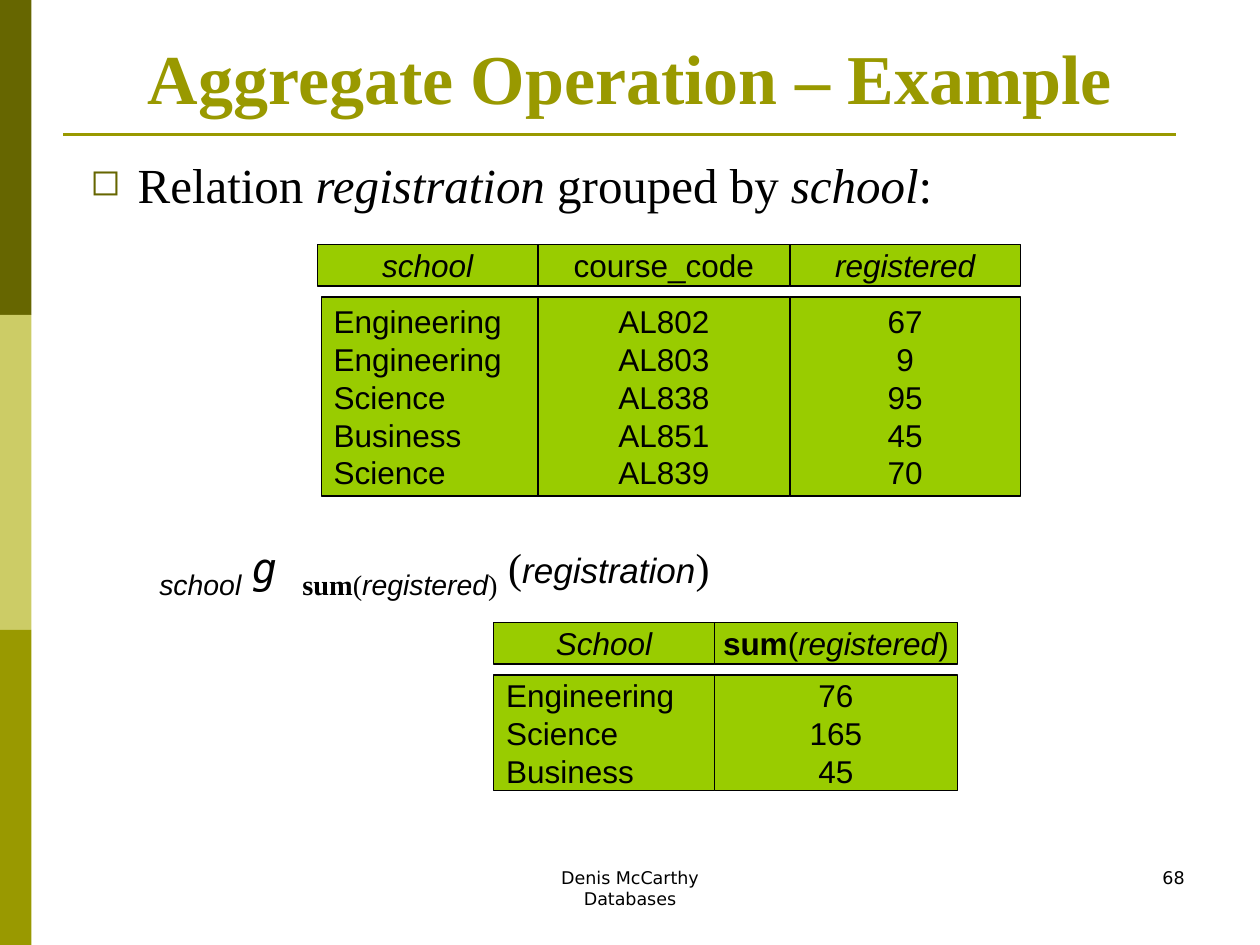
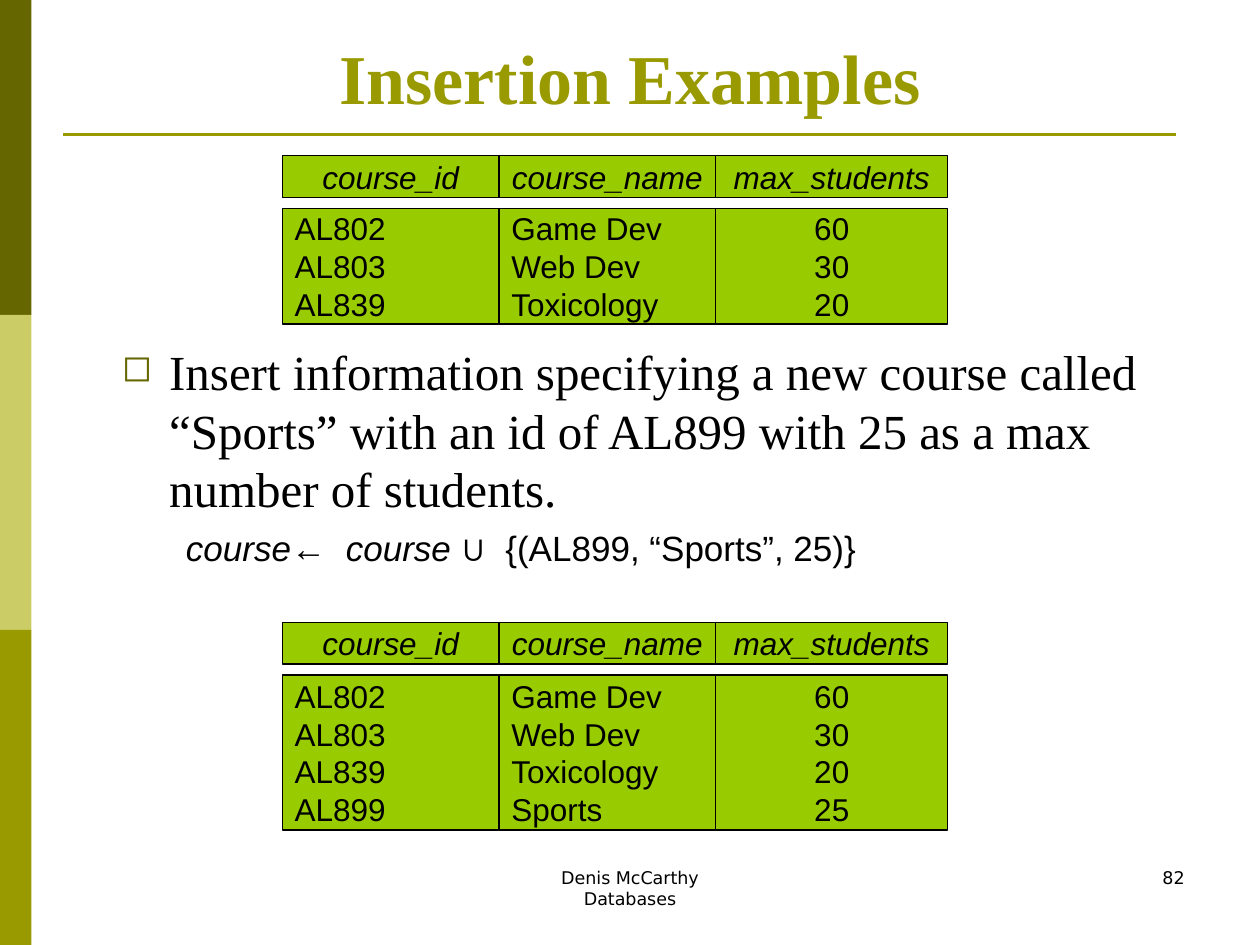
from pptx import Presentation
from pptx.dml.color import RGBColor
from pptx.enum.shapes import MSO_CONNECTOR, MSO_SHAPE
from pptx.enum.text import MSO_ANCHOR, PP_ALIGN
from pptx.oxml import parse_xml
from pptx.oxml.ns import nsdecls
from pptx.util import Pt

COLORS = {
    "dark_olive": "666600",
    "light_olive": "CCCC66",
    "olive": "999900",
    "cell": "99CC00",
    "text": "000000",
}
SERIF, SANS, FOOTER_FONT, MONO = "Times New Roman", "Arial", "DejaVu Sans", "DejaVu Sans Mono"
ALIGNMENTS = {"left": PP_ALIGN.LEFT, "center": PP_ALIGN.CENTER, "right": PP_ALIGN.RIGHT}
ITALIC = {"italic": True}
SUB = {"size": 28, "subscript": True}


def add_text(slide, text, box, fill=None, line=False, align="left", anchor=MSO_ANCHOR.TOP,
             wrap=True, space_before=0, bullet=False, **font_format):
    """Text is a string with one paragraph a line, or a list of (run, format) for one paragraph."""
    box = [Pt(length) for length in box]
    if fill:
        shape = slide.shapes.add_shape(MSO_SHAPE.RECTANGLE, *box)
        shape.shadow.inherit = False
        shape.fill.solid()
        shape.fill.fore_color.rgb = RGBColor.from_string(COLORS[fill])
        if line:
            shape.line.color.rgb = RGBColor.from_string(COLORS["text"])
            shape.line.width = Pt(0.75)
        else:
            shape.line.fill.background()
    else:
        shape = slide.shapes.add_textbox(*box)
    frame = shape.text_frame
    frame.word_wrap = wrap
    frame.vertical_anchor = anchor
    paragraphs = [[(row, {})] for row in text.split("\n")] if isinstance(text, str) else [text]
    for index, runs in enumerate(paragraphs):
        paragraph = frame.add_paragraph() if index else frame.paragraphs[0]
        paragraph.alignment = ALIGNMENTS[align]
        paragraph.space_before = Pt(space_before)
        if bullet:
            properties = paragraph._p.get_or_add_pPr()
            properties.set("marL", str(Pt(27)))
            properties.set("indent", str(-Pt(27)))
            for xml in (f'<a:buClr {nsdecls("a")}><a:srgbClr val="{COLORS["dark_olive"]}"/></a:buClr>',
                        f'<a:buSzPct {nsdecls("a")} val="75000"/>',
                        f'<a:buChar {nsdecls("a")} char="◻"/>'):
                properties.append(parse_xml(xml))
        for words, run_format in runs:
            style = {"font": SANS, "size": 18, "color": "text", **font_format, **run_format}
            run = paragraph.add_run()
            run.text = words
            run.font.name = style["font"]
            run.font.size = Pt(style["size"])
            run.font.bold = style.get("bold", False)
            run.font.italic = style.get("italic", False)
            run.font.color.rgb = RGBColor.from_string(COLORS[style["color"]])
            if style.get("subscript"):
                run._r.get_or_add_rPr().set("baseline", "-25000")
    return shape


def add_relation(slide, top, edges, body_height, columns, header_left=None):
    """Draw a relation as a header row above one tall cell a column."""
    cell = {"fill": "cell", "line": True, "anchor": MSO_ANCHOR.MIDDLE}
    for index, (header, values, align) in enumerate(columns):
        left, right = edges[index:index + 2]
        start = header_left if header_left and index == 0 else left
        add_text(slide, header, (start, top, right - start, 23.8),
                 align="center", wrap=False, **cell)
        add_text(slide, "\n".join(values), (left, top + 30, right - left, body_height),
                 align=align, wrap=align == "left", **cell)


presentation = Presentation()
presentation.slide_width, presentation.slide_height = Pt(720), Pt(540)

# Shared frame: side bands, title, rule, footer and slide number
slides = []
for title, number in (("Aggregate Operation – Example", "68"), ("Insertion Examples", "82")):
    slide = presentation.slides.add_slide(presentation.slide_layouts[6])
    slides.append(slide)
    for index, color in enumerate(("dark_olive", "light_olive", "olive")):
        add_text(slide, "", (0, 180 * index, 18, 180), fill=color)
    rule = slide.shapes.add_connector(MSO_CONNECTOR.STRAIGHT, Pt(36), Pt(77), Pt(672), Pt(77))
    rule.line.color.rgb = RGBColor.from_string(COLORS["olive"])
    rule.line.width = Pt(1.5)
    rule._element.spPr.append(parse_xml(f'<a:effectLst {nsdecls("a")}/>'))
    add_text(slide, title, (36, 21.6, 648, 49.7), align="center", anchor=MSO_ANCHOR.BOTTOM,
             font=SERIF, size=40, bold=True, color="olive")
    add_text(slide, "Denis McCarthy\nDatabases", (246, 492, 228, 36), align="center",
             font=FOOTER_FONT, size=10)
    add_text(slide, number, (516, 492, 168, 36), align="right", font=FOOTER_FONT, size=10)
aggregate, insertion = slides

# Aggregate: the relation, the expression and its result
add_text(aggregate,
         [("Relation ", {}), ("registration", ITALIC), (" grouped by ", {}),
          ("school", ITALIC), (":", {})],
         (44.6, 85, 580, 33.8), bullet=True, space_before=5.6, font=SERIF, size=28)
add_relation(aggregate, 139.7, (183.6, 307.4, 451.4, 583.2), 113.8, [
    ([("school", ITALIC)],
     ["Engineering", "Engineering", "Science", "Business", "Science"], "left"),
    ("course_code", ["AL802", "AL803", "AL838", "AL851", "AL839"], "center"),
    ([("registered", ITALIC)], ["67", "9", "95", "45", "70"], "center"),
], header_left=181.4)
add_text(aggregate, [
    ("school", {**SUB, **ITALIC, "font": SANS}),
    (" ", {}),
    ("g ", {**ITALIC, "font": MONO}),
    ("sum", {**SUB, "bold": True}),
    ("(", SUB),
    ("registered", {**SUB, **ITALIC, "font": SANS}),
    (")", SUB),
    (" (", {}),
    ("registration", {**ITALIC, "font": SANS, "size": 20}),
    (")", {}),
], (84, 301.7, 554, 46), font=SERIF, size=24)
add_relation(aggregate, 355.7, (282.2, 408.2, 547.2), 66.2, [
    ([("School", ITALIC)], ["Engineering", "Science", "Business"], "left"),
    ([("sum", {"bold": True}), ("(", {}), ("registered", ITALIC), (")", {})],
     ["76", "165", "45"], "center"),
])

# Insertion: the relation before and after the new course
courses = [("AL802", "Game Dev", "60"), ("AL803", "Web Dev", "30"),
           ("AL839", "Toxicology", "20"), ("AL899", "Sports", "25")]
headers = ("course_id", "course_name", "max_students")
for top, count, body_height in ((89, 3, 66.2), (355.7, 4, 88.6)):
    columns = [([(header, ITALIC)], values, align) for header, values, align
               in zip(headers, zip(*courses[:count]), ("left", "left", "center"))]
    add_relation(insertion, top, (161.3, 285.1, 409, 541.6), body_height, columns)
add_text(insertion,
         "Insert information specifying a new course called “Sports” "
         "with an id of AL899 with 25 as a max number of students.",
         (62.6, 191.5, 603.4, 56), bullet=True, space_before=5.6, font=SERIF, size=28)
add_text(insertion,
         [("course", ITALIC), ("←  ", {}), ("course ", ITALIC),
          ("∪  {(AL899, “Sports”, 25)}", {})],
         (99.2, 297.4, 400.3, 31.7), wrap=False, space_before=7, size=20)

presentation.save("out.pptx")
